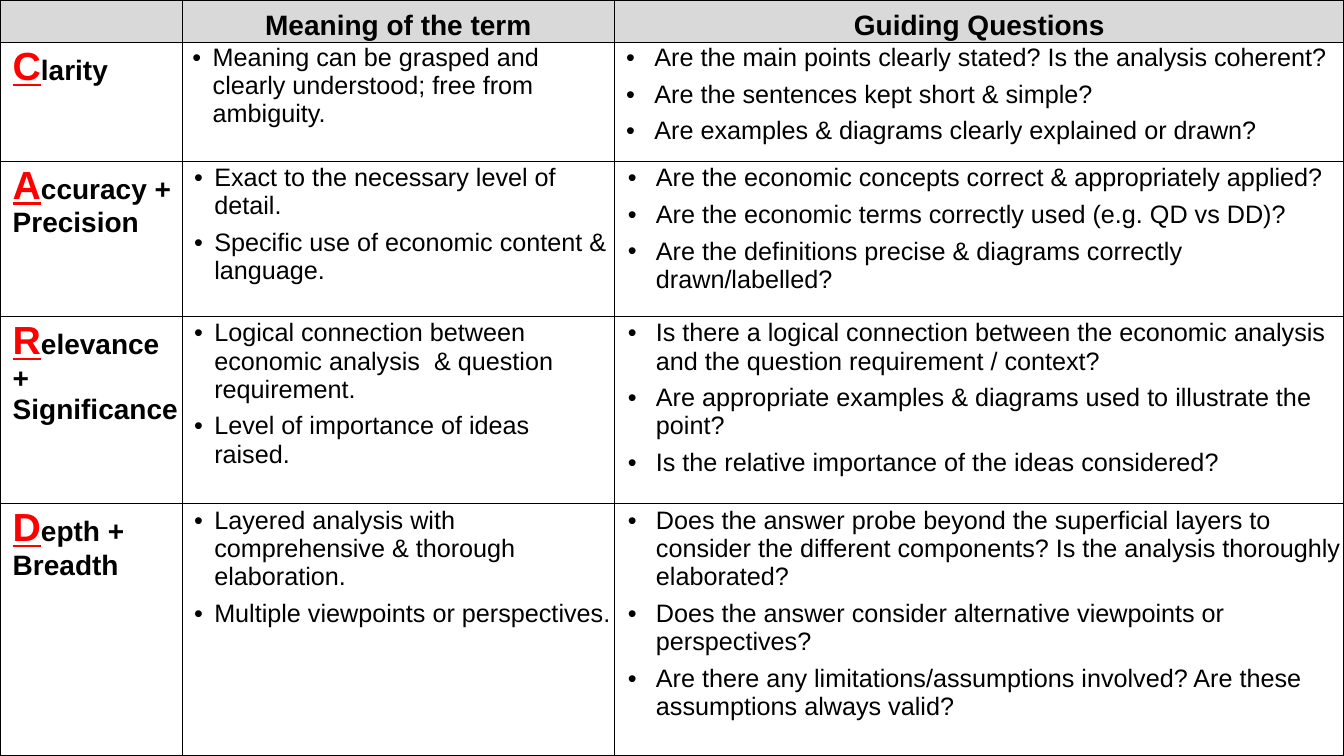
import pptx
import pptx.util
import pptx.dml.color
import pptx.enum.text
import pptx.oxml
import pptx.oxml.ns

Cm, Pt = pptx.util.Cm, pptx.util.Pt
RGBColor = pptx.dml.color.RGBColor
BLACK = RGBColor(0, 0, 0)
RED = RGBColor(0xFF, 0, 0)
GREY = RGBColor(0xD9, 0xD9, 0xD9)
WHITE = RGBColor(0xFF, 0xFF, 0xFF)

HEADS = ["", "Meaning of the term", "Guiding Questions"]
TERMS = [
    ("Clarity",
     ["Meaning can be grasped and clearly understood; free from ambiguity."],
     ["Are the main points clearly stated? Is the analysis coherent?",
      "Are the sentences kept short & simple?",
      "Are examples & diagrams clearly explained or drawn?"]),
    ("Accuracy + Precision",
     ["Exact to the necessary level of detail.",
      "Specific use of economic content & language."],
     ["Are the economic concepts correct & appropriately applied?",
      "Are the economic terms correctly used (e.g. QD vs DD)?",
      "Are the definitions precise & diagrams correctly drawn/labelled?"]),
    ("Relevance + Significance",
     ["Logical connection between economic analysis  & question requirement.",
      "Level of importance of ideas raised."],
     ["Is there a logical connection between the economic analysis and the "
      "question requirement / context?",
      "Are appropriate examples & diagrams used to illustrate the point?",
      "Is the relative importance of the ideas considered?"]),
    ("Depth + Breadth",
     ["Layered analysis with comprehensive & thorough elaboration.",
      "Multiple viewpoints or perspectives."],
     ["Does the answer probe beyond the superficial layers to consider the "
      "different components? Is the analysis thoroughly elaborated?",
      "Does the answer consider alternative viewpoints or perspectives?",
      "Are there any limitations/assumptions involved? Are these assumptions "
      "always valid?"]),
]
WIDTHS = [4.59, 10.9, 18.38]
HEIGHTS = [1.07, 2.99, 3.91, 4.72, 6.36]
INDENTS = [(0.74, -0.51), (0.97, -0.71)]
THIN, WIDE = 0.03, 0.07


def style(run, size, bold=False, color=BLACK):
    font = run.font
    font.name, font.size, font.bold = "Arial", Pt(size), bold
    font.color.rgb = color


def frame(cell, fill, inset):
    """Give a cell its fill, margins and black borders."""
    cell.fill.solid()
    cell.fill.fore_color.rgb = fill
    cell.margin_left = cell.margin_right = Cm(inset)
    cell.margin_top = cell.margin_bottom = Cm(inset)
    props = cell._tc.get_or_add_tcPr()
    for at, side in enumerate("LRTB"):
        props.insert(at, pptx.oxml.parse_xml(
            f'<a:ln{side} {pptx.oxml.ns.nsdecls("a")} w="{Pt(1)}"><a:solidFill>'
            f'<a:srgbClr val="{BLACK}"/></a:solidFill></a:ln{side}>'))


def indent(para, left, first=0):
    para.space_before = Pt(6)
    props = para._p.get_or_add_pPr()
    props.set("marL", str(Cm(left)))
    props.set("indent", str(Cm(first)))
    return props


def head(cell, text):
    frame(cell, GREY, THIN)
    cell.vertical_anchor = pptx.enum.text.MSO_ANCHOR.BOTTOM
    para = cell.text_frame.paragraphs[0]
    para.text = text
    para.alignment = pptx.enum.text.PP_ALIGN.CENTER
    para.space_before = Pt(6)
    for run in para.runs:
        style(run, 20, True)


def label(cell, text):
    """Write a term with a large red initial."""
    frame(cell, WHITE, WIDE)
    cell.margin_right = Cm(0)
    para = cell.text_frame.paragraphs[0]
    indent(para, 0.25)
    first, rest = para.add_run(), para.add_run()
    first.text, rest.text = text[0], text[1:]
    style(first, 28, True, RED)
    first.font.underline = True
    style(rest, 20, True)


def points(cell, lines, inset, left, first):
    frame(cell, WHITE, inset)
    cell.text_frame.text = "\n".join(lines)
    for para in cell.text_frame.paragraphs:
        props = indent(para, left, first)
        for tag in ('buFont {} typeface="Arial"', 'buChar {} char="•"'):
            props.append(pptx.oxml.parse_xml(
                "<a:" + tag.format(pptx.oxml.ns.nsdecls("a")) + "/>"))
        style(para.runs[0], 18)


def main():
    deck = pptx.Presentation()
    deck.slide_width, deck.slide_height = Cm(33.87), Cm(19.05)
    slide = deck.slides.add_slide(deck.slide_layouts[6])
    grid = slide.shapes.add_table(
        len(HEIGHTS), len(WIDTHS), 0, 0,
        deck.slide_width, deck.slide_height).table
    for col, width in zip(grid.columns, WIDTHS):
        col.width = Cm(width)
    for row, height in zip(grid.rows, HEIGHTS):
        row.height = Cm(height)
    for c, text in enumerate(HEADS):
        head(grid.cell(0, c), text)
    for r, (term, *lists) in enumerate(TERMS, 1):
        label(grid.cell(r, 0), term)
        inset = THIN if r == 1 else WIDE
        for c, lines in enumerate(lists, 1):
            points(grid.cell(r, c), lines, inset, *INDENTS[c - 1])
    deck.save("out.pptx")


if __name__ == "__main__":
    main()
